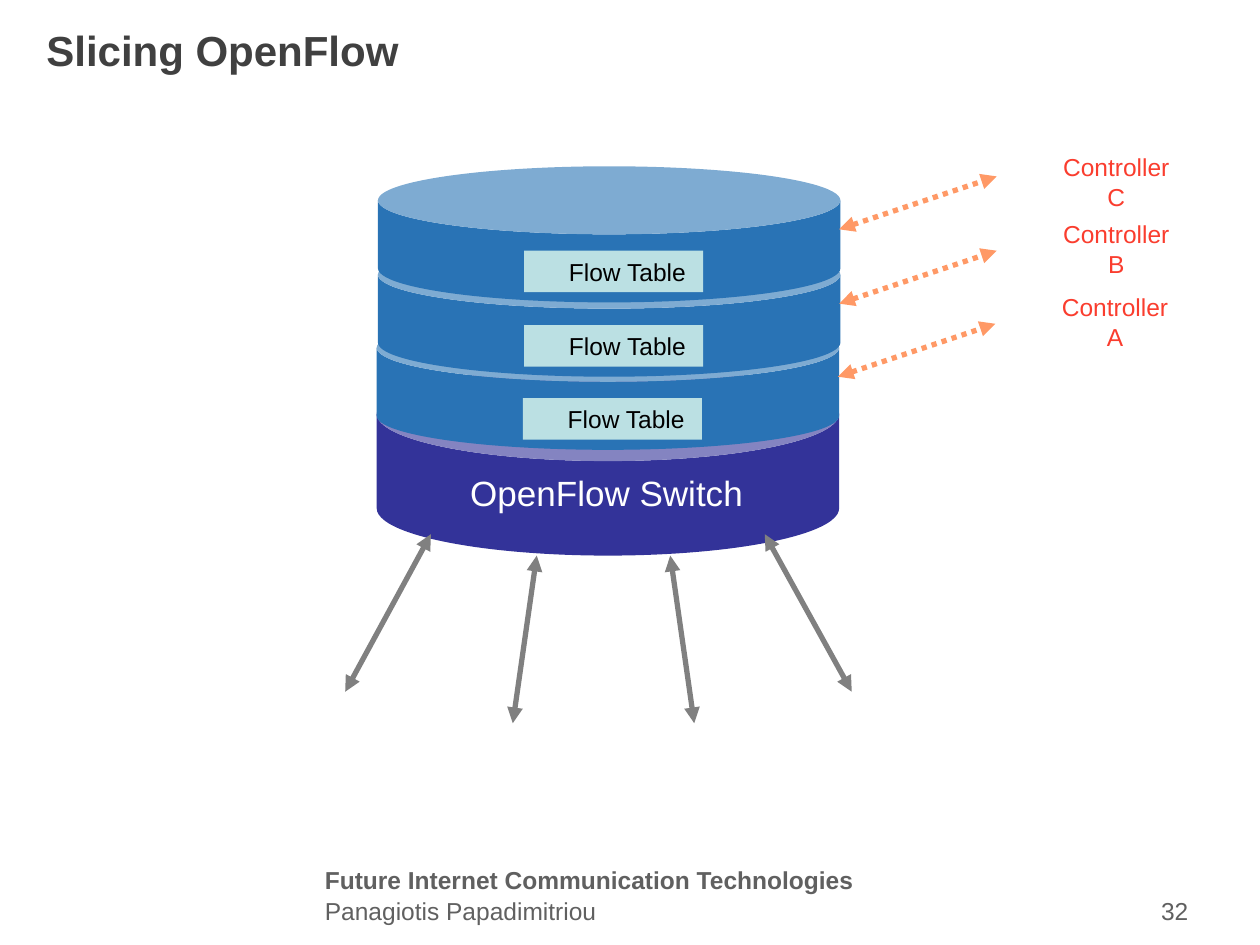
"""Build the slide on slicing an OpenFlow switch."""
from dataclasses import dataclass

from lxml import etree
from pptx import Presentation
from pptx.dml.color import RGBColor
from pptx.enum.dml import MSO_LINE
from pptx.enum.shapes import MSO_CONNECTOR, MSO_SHAPE
from pptx.enum.text import MSO_ANCHOR, PP_ALIGN
from pptx.oxml.ns import qn
from pptx.util import Inches, Pt

CAN, RECT = MSO_SHAPE.CAN, MSO_SHAPE.RECTANGLE
LINE, DOTS = MSO_CONNECTOR.STRAIGHT, MSO_LINE.ROUND_DOT
LEFT, MID, RIGHT = PP_ALIGN.LEFT, PP_ALIGN.CENTER, PP_ALIGN.RIGHT
TOP, CENTRE = MSO_ANCHOR.TOP, MSO_ANCHOR.MIDDLE
HEX = {
    "title": "404040", "foot": "606060", "switch": "333399",
    "slice": "2973B5", "table": "BBE0E3", "black": "000000",
    "white": "FFFFFF", "port": "808080", "link": "FF9966",
    "name": "FA3D2E",
}
WIDE = 3.67


@dataclass
class Slice:
    """One slice of the switch and its controller."""
    name: str
    left: float
    top: float
    label: float


@dataclass
class Port:
    """One arrow below the switch."""
    x: float
    y: float
    end: float
    low: float


SLICES = [
    Slice("Controller A", 2.99, 2.49, 2.32),
    Slice("Controller B", 3, 1.91, 1.74),
    Slice("Controller C", 3, 1.32, 1.21),
]
PORTS = [
    Port(3.42, 4.24, 2.74, 5.49),
    Port(4.26, 4.41, 4.07, 5.74),
    Port(5.32, 4.41, 5.51, 5.74),
    Port(6.07, 4.24, 6.76, 5.49),
]


def add_text(slide, text: str, x: float, y: float, w: float, h: float, *,
             color: str, size: int = 14, bold: bool = False, align=LEFT,
             anchor=TOP, pad: tuple = (0.1, 0.05), wrap: bool = True) -> None:
    """Add a text box in one format."""
    box = slide.shapes.add_textbox(Inches(x), Inches(y), Inches(w), Inches(h))
    frame = box.text_frame
    frame.word_wrap, frame.vertical_anchor = wrap, anchor
    frame.margin_left = frame.margin_right = Inches(pad[0])
    frame.margin_top = frame.margin_bottom = Inches(pad[1])
    para = frame.paragraphs[0]
    para.alignment = align
    run = para.add_run()
    run.text = text
    font = run.font
    font.name, font.size, font.bold = "Arial", Pt(size), bold
    font.color.rgb = RGBColor.from_string(HEX[color])


def add_solid(slide, kind, x: float, y: float, w: float, h: float,
              color: str):
    """Add a flat shape with no outline."""
    shape = slide.shapes.add_shape(
        kind, Inches(x), Inches(y), Inches(w), Inches(h))
    shape.shadow.inherit = False
    shape.fill.solid()
    shape.fill.fore_color.rgb = RGBColor.from_string(HEX[color])
    shape.line.fill.background()
    return shape


def add_can(slide, x: float, y: float, h: float, color: str) -> None:
    """Add a cylinder whose lid takes half its height."""
    add_solid(slide, CAN, x, y, WIDE, h, color).adjustments[0] = 0.5


def add_arrow(slide, x: float, y: float, end: float, low: float,
              color: str, dash=None) -> None:
    """Add a line with a head at both ends."""
    link = slide.shapes.add_connector(
        LINE, Inches(x), Inches(y), Inches(end), Inches(low))
    link.line.width = Pt(3)
    link.line.color.rgb = RGBColor.from_string(HEX[color])
    if dash:
        link.line.dash_style = dash
    for tag in ("a:headEnd", "a:tailEnd"):
        etree.SubElement(link.line._ln, qn(tag), type="triangle")
    etree.SubElement(link._element.spPr, qn("a:effectLst"))


def add_slice(slide, part: Slice) -> None:
    """Add a slice with its flow table and link."""
    x, y = part.left, part.top
    add_can(slide, x, y, 1.08, "slice")
    add_solid(slide, RECT, x + 1.16, y + 0.67, 1.42, 0.33, "table")
    add_text(slide, "Flow Table", x + 1.35, y + 0.72, 1.26, 0.23,
             color="black", align=MID, anchor=CENTRE, pad=(0, 0), wrap=False)
    add_arrow(slide, x + 3.66, y + 0.5, x + 4.91, y + 0.08, "link", DOTS)


def main() -> None:
    """Build and save the slide."""
    deck = Presentation()
    deck.slide_width, deck.slide_height = Inches(10), Inches(7.5)
    slide = deck.slides.add_slide(deck.slide_layouts[6])
    add_text(slide, "Future Internet Communication Technologies",
             2.48, 6.82, 4.49, 0.34, color="foot", bold=True, wrap=False)
    add_text(slide, "Panagiotis Papadimitriou", 2.48, 7.06, 2.84, 0.33,
             color="foot")
    add_text(slide, "Slicing OpenFlow", 0.27, 0.08, 9, 0.63,
             color="title", size=24, bold=True, anchor=CENTRE)
    add_text(slide, "32", 7.2, 7.06, 2.33, 0.31, color="foot", align=RIGHT)
    add_can(slide, 2.99, 2.91, 1.5, "switch")
    for port in PORTS:
        add_arrow(slide, port.x, port.y, port.end, port.low, "port")
    add_text(slide, "OpenFlow Switch", 3.68, 3.74, 2.27, 0.34,
             color="white", size=20, align=MID, pad=(0, 0), wrap=False)
    for part in SLICES:
        add_slice(slide, part)
    for part in SLICES:
        add_text(slide, part.name, part.left + 5.36, part.label, 1, 0.24,
                 color="name", align=MID, pad=(0, 0))
    deck.save("out.pptx")


if __name__ == "__main__":
    main()
